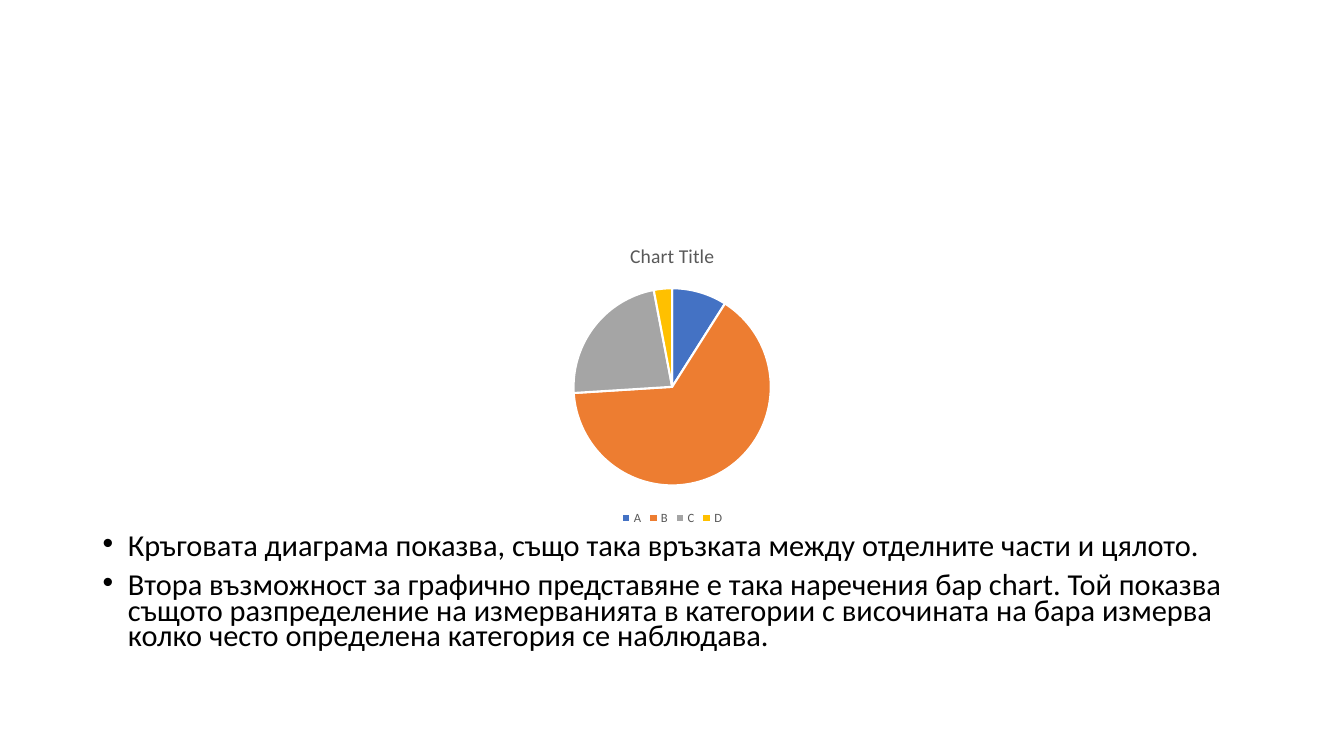
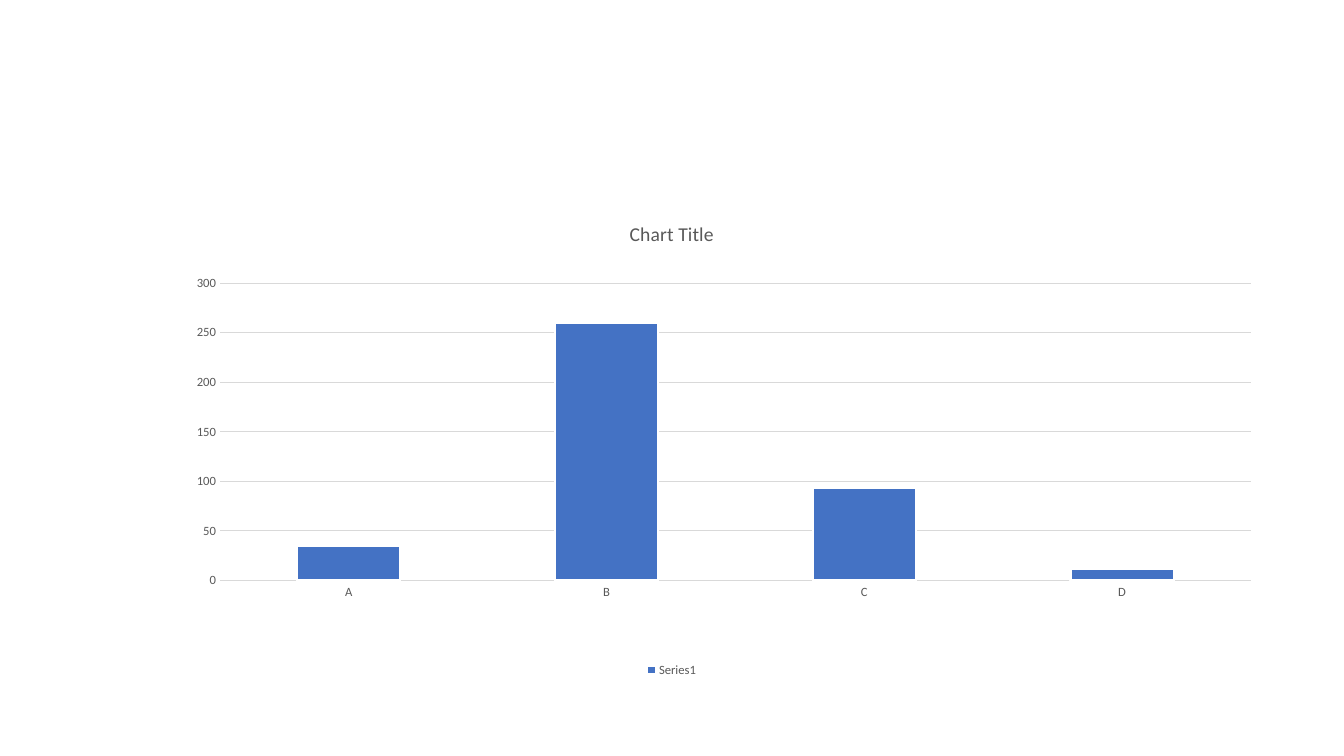
from dataclasses import dataclass

from lxml import etree
from pptx import Presentation
from pptx.chart.data import CategoryChartData
from pptx.dml.color import RGBColor
from pptx.enum.chart import XL_CHART_TYPE, XL_LEGEND_POSITION, XL_TICK_MARK
from pptx.enum.text import MSO_ANCHOR, MSO_AUTO_SIZE
from pptx.oxml import parse_xml
from pptx.oxml.ns import nsdecls, qn
from pptx.util import Cm, Pt

PIE, COLUMN = XL_CHART_TYPE.PIE, XL_CHART_TYPE.COLUMN_CLUSTERED
BOTTOM, NO_TICK = XL_LEGEND_POSITION.BOTTOM, XL_TICK_MARK.NONE
TOP, NO_FIT = MSO_ANCHOR.TOP, MSO_AUTO_SIZE.NONE
CONTENT_LAYOUT, BLANK_LAYOUT = 1, 6


@dataclass(frozen=True)
class Theme:
    font: str = "Calibri"
    text: str = "000000"
    muted: str = "595959"
    grid: str = "D9D9D9"
    white: str = "FFFFFF"
    accents: tuple = ("4472C4", "ED7D31", "A5A5A5", "FFC000")
    body_size: float = 21.7
    title_size: float = 14
    chart_size: float = 10
    label_size: float = 9
    slice_line: float = 1.5
    grid_line: float = 0.75


def set_attrs(obj, values):
    for name, value in values.items():
        setattr(obj, name, value)


class Deck:
    def __init__(self, theme):
        self.theme = theme
        self.prs = Presentation()
        set_attrs(self.prs, {"slide_width": Cm(33.87), "slide_height": Cm(19.05)})
        self.slide = None

    def add_slide(self, layout):
        self.slide = self.prs.slides.add_slide(self.prs.slide_layouts[layout])

    def style_font(self, font, size, color):
        set_attrs(font, {"name": self.theme.font, "size": Pt(size), "bold": False})
        font.color.rgb = RGBColor.from_string(color)

    def style_line(self, line, color, width):
        line.color.rgb = RGBColor.from_string(color)
        line.width = Pt(width)

    def bullets(self, box, items):
        title = self.slide.shapes.title
        title.element.getparent().remove(title.element)
        sp = self.slide.placeholders[1]
        set_attrs(sp, dict(zip(("left", "top", "width", "height"), map(Cm, box))))
        tf = sp.text_frame
        set_attrs(tf, {"word_wrap": True, "auto_size": NO_FIT, "vertical_anchor": TOP})
        for i, item in enumerate(items):
            p = tf.paragraphs[0] if i == 0 else tf.add_paragraph()
            set_attrs(p, {"line_spacing": 0.7, "space_before": Pt(10 if i else 0)})
            pPr = p._p.get_or_add_pPr()
            pPr.set("marL", str(Cm(0.64)))
            pPr.set("indent", str(-Cm(0.64)))
            r = p.add_run()
            r.text = item
            self.style_font(r.font, self.theme.body_size, self.theme.text)

    def chart(self, kind, box, title, series_name, values):
        """Add a chart with title, legend and the shared text styles."""
        t = self.theme
        data = CategoryChartData()
        data.categories = "ABCD"
        data.add_series(series_name, values)
        chart = self.slide.shapes.add_chart(kind, *map(Cm, box), data).chart
        self.style_font(chart.font, t.chart_size, t.text)
        chart.has_title = True
        p = chart.chart_title.text_frame.paragraphs[0]
        r = p.add_run()
        r.text = title
        self.style_font(r.font, t.title_size, t.muted)
        chart.has_legend = True
        set_attrs(chart.legend, {"position": BOTTOM, "include_in_layout": False})
        self.style_font(chart.legend.font, t.label_size, t.muted)
        return chart

    def paint(self, format_, color):
        format_.fill.solid()
        format_.fill.fore_color.rgb = RGBColor.from_string(color)
        self.style_line(format_.line, self.theme.white, self.theme.slice_line)

    def pie(self, box, title, series_name, values):
        chart = self.chart(PIE, box, title, series_name, values)
        chart.plots[0].vary_by_categories = True
        points = chart.plots[0].series[0].points
        for i, color in enumerate(self.theme.accents):
            self.paint(points[i].format, color)

    def columns(self, box, title, series_name, values, plot_box):
        t = self.theme
        chart = self.chart(COLUMN, box, title, series_name, values)
        set_attrs(chart.plots[0], {"gap_width": 150, "vary_by_categories": False})
        self.paint(chart.plots[0].series[0].format, t.accents[0])
        category, value = chart.category_axis, chart.value_axis
        for axis in (category, value):
            set_attrs(axis, {"major_tick_mark": NO_TICK, "minor_tick_mark": NO_TICK})
            self.style_font(axis.tick_labels.font, t.label_size, t.muted)
        self.style_line(category.format.line, t.grid, t.grid_line)
        set_attrs(value, {"minimum_scale": 0, "maximum_scale": 300,
                          "major_unit": 50, "has_major_gridlines": True})
        value.format.line.fill.background()
        self.style_line(value.major_gridlines.format.line, t.grid, t.grid_line)
        self.place_plot(chart, plot_box)

    def place_plot(self, chart, plot_box):
        """Fix the inner plot area, given as fractions of the chart."""
        area = chart._chartSpace.find(".//" + qn("c:plotArea"))
        for old in area.findall(qn("c:layout")):
            area.remove(old)
        layout = parse_xml(f"<c:layout {nsdecls('c')}><c:manualLayout/></c:layout>")
        settings = {"layoutTarget": "inner", "xMode": "edge", "yMode": "edge",
                    **dict(zip("xywh", plot_box))}
        for tag, val in settings.items():
            etree.SubElement(layout[0], qn(f"c:{tag}")).set("val", str(val))
        area.insert(0, layout)


def main():
    deck = Deck(Theme())

    deck.add_slide(CONTENT_LAYOUT)
    deck.bullets((2.33, 13.37, 29.21, 3.8), (
        "Кръговата диаграма показва, също така връзката между отделните части и "
        "цялото.",
        "Втора възможност за графично представяне е така наречения бар chart. Той "
        "показва същото разпределение на измерванията в категории с височината на "
        "бара измерва колко често определена категория се наблюдава.",
    ))
    deck.pie((10.59, 5.72, 12.7, 7.62), "Chart Title", "Series 1", (9, 65, 23, 3))

    deck.add_slide(BLANK_LAYOUT)
    deck.columns((2.33, 5.08, 29.21, 12.09), "Chart Title", "Series1",
                 (35, 260, 93, 12), (0.11, 0.17, 0.89, 0.62))

    deck.prs.save("out.pptx")


if __name__ == "__main__":
    main()
